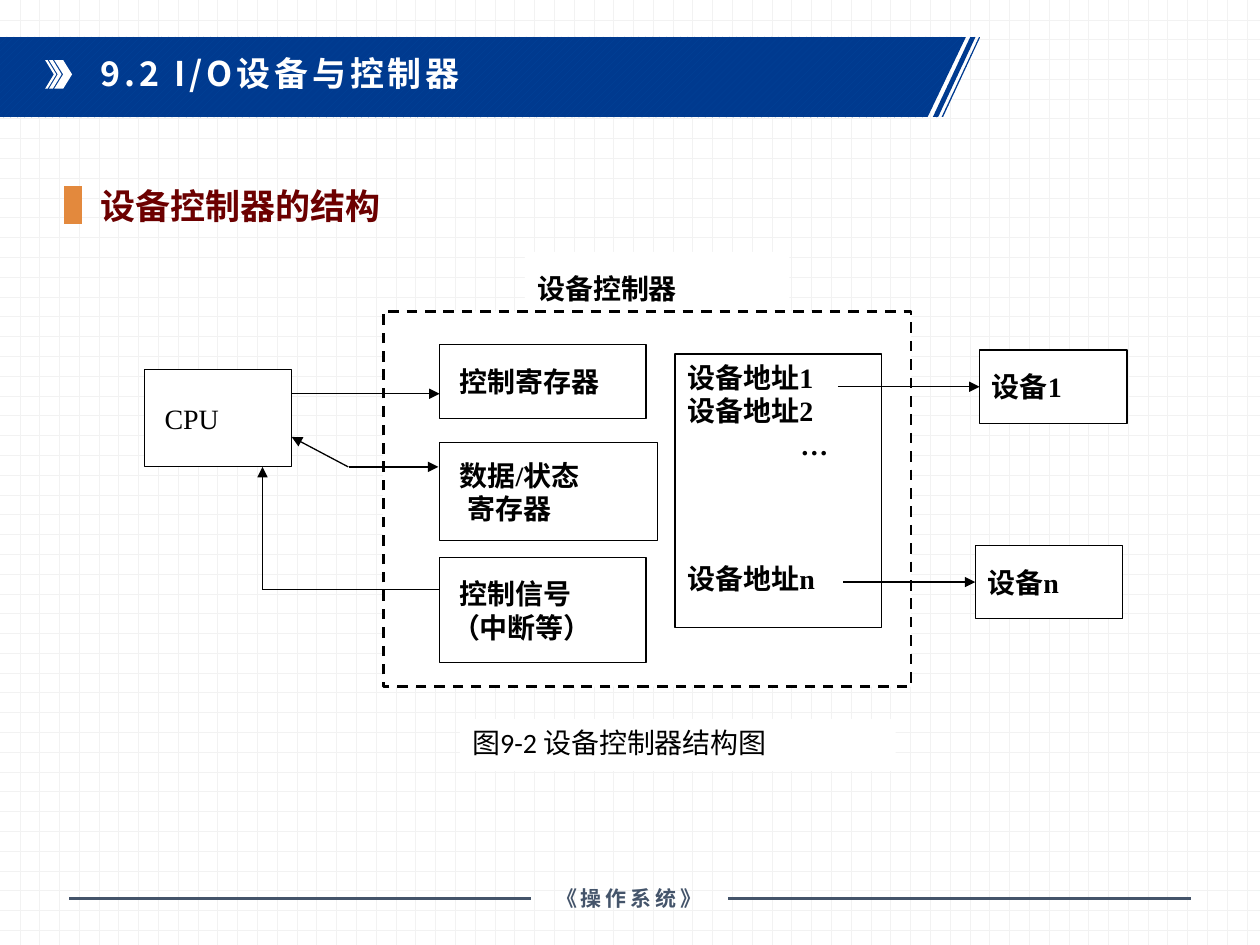
from lxml.etree import SubElement
from pptx import Presentation
from pptx.dml.color import RGBColor
from pptx.enum.dml import MSO_LINE, MSO_PATTERN
from pptx.enum.shapes import MSO_CONNECTOR, MSO_SHAPE
from pptx.enum.text import MSO_ANCHOR, MSO_AUTO_SIZE, PP_ALIGN
from pptx.oxml.ns import qn
from pptx.util import Pt

WHITE = RGBColor(0xFF, 0xFF, 0xFF)
BLACK = RGBColor(0x00, 0x00, 0x00)
GRID = RGBColor(0xF2, 0xF2, 0xF2)
BLUE = RGBColor(0x00, 0x3A, 0x8F)
BLUE_STRIPE = RGBColor(0x00, 0x44, 0x9A)
SLATE = RGBColor(0x44, 0x54, 0x6A)
MAROON = RGBColor(0x6C, 0x00, 0x00)
ORANGE = RGBColor(0xE3, 0x89, 0x3D)
SANS, SERIF = "Noto Sans CJK SC", "Times New Roman"

TITLE = "9.2 I/O设备与控制器"
SUBTITLE = "设备控制器的结构"
FOOTER = "《操作系统》"
CAPTION = "图9-2 设备控制器结构图"

BANNER = [
    [(559.5, 21), (560.2, 21), (538.8, 67), (538, 67)],
    [(554.5, 21), (557.5, 21), (536, 67), (533, 67)],
    [(0, 21), (552, 21), (530, 67), (0, 67)],
]
CHEVRON_TOP, CHEVRON_HEIGHT, CHEVRON_REACH = 34.3, 16.4, 5
THIN_CHEVRONS = [(28, 2.2), (25.8, 1.4)]

CPU = ((82.5, 211, 84.2, 55.6), [("CPU", 4.5)])
LABELLED_BOXES = [
    ((251.2, 197, 118, 42), [("控制寄存器", 4.5)]),
    ((251.2, 253, 124.5, 56), [("数据/状态", 4.5), ("寄存器", 9)]),
    ((251.2, 318.7, 118, 60), [("控制信号", 4.5), ("（中断等）", 0)]),
    ((559.8, 200, 84.2, 42), [("设备1", 0)]),
    ((557.3, 311.6, 84.2, 42), [("设备n", 0)]),
]
CONTROLLER_LABEL = ((300, 144, 151.2, 42), [("设备控制器", 0)])
CONTROLLER = (219, 178, 301.6, 214.4)
ADDRESS_BOX = (385.8, 202.4, 118, 156.2)
ADDRESSES = [("设备地址1", 0, 0), ("设备地址2", 0, 0), ("…", 64.5, 0), ("设备地址n", 0, 57.5)]
LINKS = [
    (251.2, 337, 150, 337, None),
    (150, 337, 150, 266.8, "tailEnd"),
    (166.7, 225, 251.2, 225, "tailEnd"),
    (166.7, 249.7, 199, 266.8, "headEnd"),
    (199.2, 266.8, 250.5, 266.8, "tailEnd"),
    (478.8, 221, 559.8, 221, "tailEnd"),
    (481.8, 332.6, 557.3, 332.6, "tailEnd"),
]

presentation = Presentation()
presentation.slide_width, presentation.slide_height = Pt(720), Pt(540)
slide = presentation.slides.add_slide(presentation.slide_layouts[1])
shapes = slide.shapes


def fill_pattern(fill, pattern, fore, back):
    fill.patterned()
    fill.pattern = pattern
    fill.fore_color.rgb = fore
    fill.back_color.rgb = back


def place(part, left, top, width, height):
    part.left, part.top, part.width, part.height = map(Pt, (left, top, width, height))


def write(paragraph, text, size, font, color, bold=True, spacing=0):
    run = paragraph.add_run()
    run.text = text
    run.font.size = Pt(size)
    run.font.name = font
    run.font.bold = bold
    run.font.color.rgb = color
    properties = run.font._element
    if spacing:
        properties.set("spc", str(round(spacing * 100)))
    SubElement(properties, qn("a:ea")).set("typeface", SANS)


def add_box(bounds, fill, line=None, kind=MSO_SHAPE.RECTANGLE):
    box = shapes.add_shape(kind, *map(Pt, bounds))
    box.shadow.inherit = False
    box.fill.solid()
    box.fill.fore_color.rgb = fill
    if line is None:
        box.line.fill.background()
    else:
        box.line.color.rgb = BLACK
        box.line.width = Pt(line)
    return box


def add_outline(contours):
    (start, *rest), *others = [[(Pt(x), Pt(y)) for x, y in c] for c in contours]
    builder = shapes.build_freeform(*start, scale=1.0)
    builder.add_line_segments(rest)
    for first, *following in others:
        builder.move_to(*first)
        builder.add_line_segments(following)
    outline = builder.convert_to_shape()
    outline.shadow.inherit = False
    outline.line.fill.background()
    return outline


def add_line(x1, y1, x2, y2, color, width, arrow=None):
    line = shapes.add_connector(MSO_CONNECTOR.STRAIGHT, *map(Pt, (x1, y1, x2, y2)))
    line.line.color.rgb = color
    line.line.width = Pt(width)
    if arrow:
        SubElement(line.line._get_or_add_ln(), qn("a:" + arrow)).set("type", "triangle")
    SubElement(line._element.spPr, qn("a:effectLst"))


def add_labelled_box(bounds, lines, line=0.75, bold=True):
    frame = add_box(bounds, WHITE, line).text_frame
    frame.word_wrap = False
    frame.vertical_anchor = MSO_ANCHOR.MIDDLE
    for index, (text, indent) in enumerate(lines):
        paragraph = frame.add_paragraph() if index else frame.paragraphs[0]
        paragraph.alignment = PP_ALIGN.LEFT
        paragraph._p.get_or_add_pPr().set("indent", str(Pt(indent)))
        write(paragraph, text, 16, SERIF, BLACK, bold)


def fill_placeholder(holder, bounds, text, size, color, spacing=0):
    place(holder, *bounds)
    frame = holder.text_frame
    frame.word_wrap = True
    frame.auto_size = MSO_AUTO_SIZE.NONE
    frame.vertical_anchor = MSO_ANCHOR.TOP
    paragraph = frame.paragraphs[0]
    properties = paragraph._p.get_or_add_pPr()
    properties.set("marL", "0")
    properties.set("indent", "0")
    SubElement(properties, qn("a:buNone"))
    paragraph.alignment = PP_ALIGN.LEFT
    paragraph.line_spacing = 0.9
    paragraph.space_before = Pt(0)
    write(paragraph, text, size, SANS, color, True, spacing)


fill_pattern(slide.background.fill, MSO_PATTERN.DOTTED_GRID, GRID, WHITE)
banner = add_outline(BANNER)
fill_pattern(banner.fill, MSO_PATTERN.WIDE_UPWARD_DIAGONAL, BLUE_STRIPE, BLUE)

add_box((31, CHEVRON_TOP, 10.2, CHEVRON_HEIGHT), WHITE, kind=MSO_SHAPE.CHEVRON)
middle, bottom = CHEVRON_TOP + CHEVRON_HEIGHT / 2, CHEVRON_TOP + CHEVRON_HEIGHT
for left, thickness in THIN_CHEVRONS:
    right = left + thickness
    chevron = add_outline([[
        (left, CHEVRON_TOP), (right, CHEVRON_TOP), (right + CHEVRON_REACH, middle),
        (right, bottom), (left, bottom), (left + CHEVRON_REACH, middle),
    ]])
    chevron.fill.solid()
    chevron.fill.fore_color.rgb = WHITE

title, subtitle = shapes.title, slide.placeholders[1]
fill_placeholder(title, (50.2, 28.8, 240, 40.3), TITLE, 19.4, WHITE, 2.2)
fill_placeholder(subtitle, (50.2, 104.4, 308.5, 31.7), SUBTITLE, 20, MAROON)
banner._element.addnext(title._element)
title._element.addnext(subtitle._element)
add_box((36.7, 106.4, 10.2, 21.6), ORANGE)

footer = shapes.add_textbox(Pt(303), Pt(502.5), Pt(112.5), Pt(21.6)).text_frame
footer.word_wrap = True
footer.vertical_anchor = MSO_ANCHOR.MIDDLE
footer.paragraphs[0].alignment = PP_ALIGN.CENTER
write(footer.paragraphs[0], FOOTER, 12, "Arial", SLATE, True, 2.2)
for start, end in [(39.6, 303.6), (416.2, 680.4)]:
    add_line(start, 513.4, end, 513.4, SLATE, 2)

add_labelled_box(*CONTROLLER_LABEL, line=None)
add_box(CONTROLLER, WHITE, 1.5).line.dash_style = MSO_LINE.DASH
add_labelled_box(*CPU, bold=False)
for bounds, lines in LABELLED_BOXES:
    add_labelled_box(bounds, lines)

addresses = add_box(ADDRESS_BOX, WHITE, 0.75).text_frame
addresses.vertical_anchor = MSO_ANCHOR.TOP
for index, (text, indent, gap) in enumerate(ADDRESSES):
    paragraph = addresses.add_paragraph() if index else addresses.paragraphs[0]
    paragraph.alignment = PP_ALIGN.JUSTIFY
    paragraph.space_before = Pt(gap)
    paragraph._p.get_or_add_pPr().set("indent", str(Pt(indent)))
    write(paragraph, text, 16, SERIF, BLACK)

for x1, y1, x2, y2, arrow in LINKS:
    add_line(x1, y1, x2, y2, BLACK, 0.75, arrow)

caption = add_box((262.8, 411, 249, 29.5), WHITE).text_frame
caption.vertical_anchor = MSO_ANCHOR.TOP
caption.paragraphs[0].alignment = PP_ALIGN.JUSTIFY
write(caption.paragraphs[0], CAPTION, 16, "Calibri", BLACK, False)

presentation.save("out.pptx")
